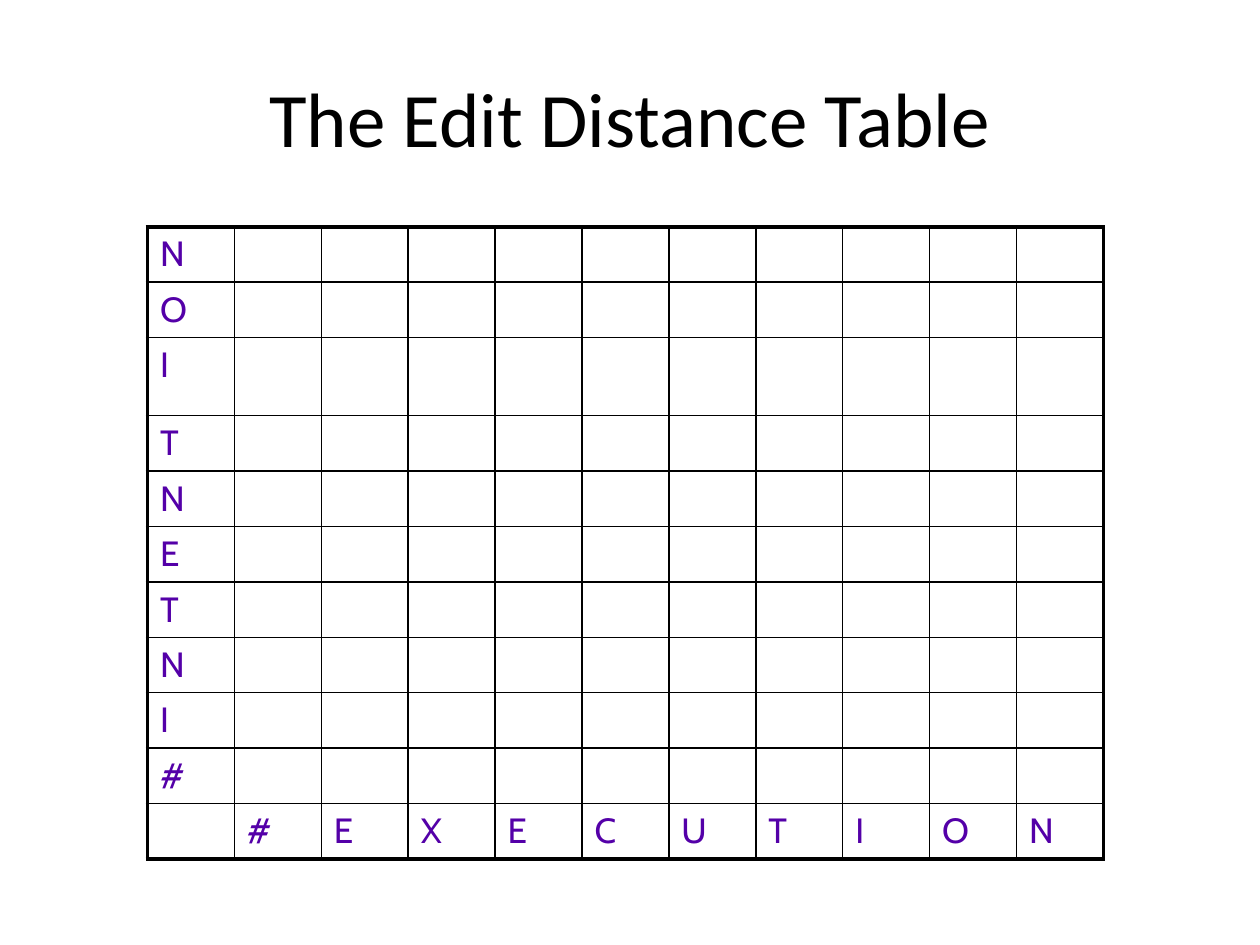
from lxml.etree import SubElement
from pptx import Presentation
from pptx.dml.color import RGBColor
from pptx.enum.text import MSO_ANCHOR, PP_ALIGN
from pptx.oxml.ns import qn
from pptx.util import Inches, Pt

BLACK = RGBColor(0x00, 0x00, 0x00)
PURPLE = RGBColor(0x54, 0x00, 0xA8)

SOURCE = "#INTENTION"
TARGET = "#EXECUTION"
THIN, THICK = Pt(1), Pt(2.25)


def set_borders(cell, widths):
    """Draw black borders; widths maps lnL, lnR, lnT and lnB, in that order."""
    tcPr = cell._tc.get_or_add_tcPr()
    for i, (side, width) in enumerate(widths.items()):
        ln = SubElement(tcPr, qn(f"a:{side}"), w=str(int(width)))
        fill = SubElement(ln, qn("a:solidFill"))
        SubElement(fill, qn("a:srgbClr"), val=str(BLACK))
        tcPr.insert(i, ln)  # borders come before the cell fill


prs = Presentation()
prs.slide_width, prs.slide_height = Inches(10), Inches(7.5)
s = prs.slides.add_slide(prs.slide_layouts[5])

title = s.shapes.title
title.left, title.top = Inches(0.5), Inches(0.3)
title.width, title.height = Inches(9), Inches(1.25)
tf = title.text_frame
tf.text = "The Edit Distance Table"
tf.vertical_anchor = MSO_ANCHOR.MIDDLE
p = tf.paragraphs[0]
p.alignment = PP_ALIGN.CENTER
p.font.name, p.font.size = "Calibri", Pt(44)
p.font.color.rgb = BLACK

# Source word runs upwards in the first column, target word along the last row
rows = [[letter] + [""] * len(TARGET) for letter in reversed(SOURCE)]
rows.append(["", *TARGET])
last_row, last_col = len(rows) - 1, len(TARGET)

table = s.shapes.add_table(
    len(rows), last_col + 1, Inches(1.17), Inches(1.8), Inches(7.58), Inches(5.02)
).table
table.first_row = table.horz_banding = False
for col in table.columns:
    col.width = Inches(0.69)
for row in table.rows:
    row.height = Inches(0.44)
table.rows[2].height = Inches(0.62)

for i, letters in enumerate(rows):
    for j, letter in enumerate(letters):
        cell = table.cell(i, j)
        cell.fill.background()
        set_borders(cell, {
            "lnL": THICK if j == 0 else THIN,
            "lnR": THICK if j == last_col else THIN,
            "lnT": THICK if i == 0 else THIN,
            "lnB": THICK if i == last_row else THIN,
        })
        if letter:
            p = cell.text_frame.paragraphs[0]
            p.text = letter
            font = p.runs[0].font
            font.name, font.size = "Cabin", Pt(20)
            font.color.rgb = PURPLE

prs.save("out.pptx")
